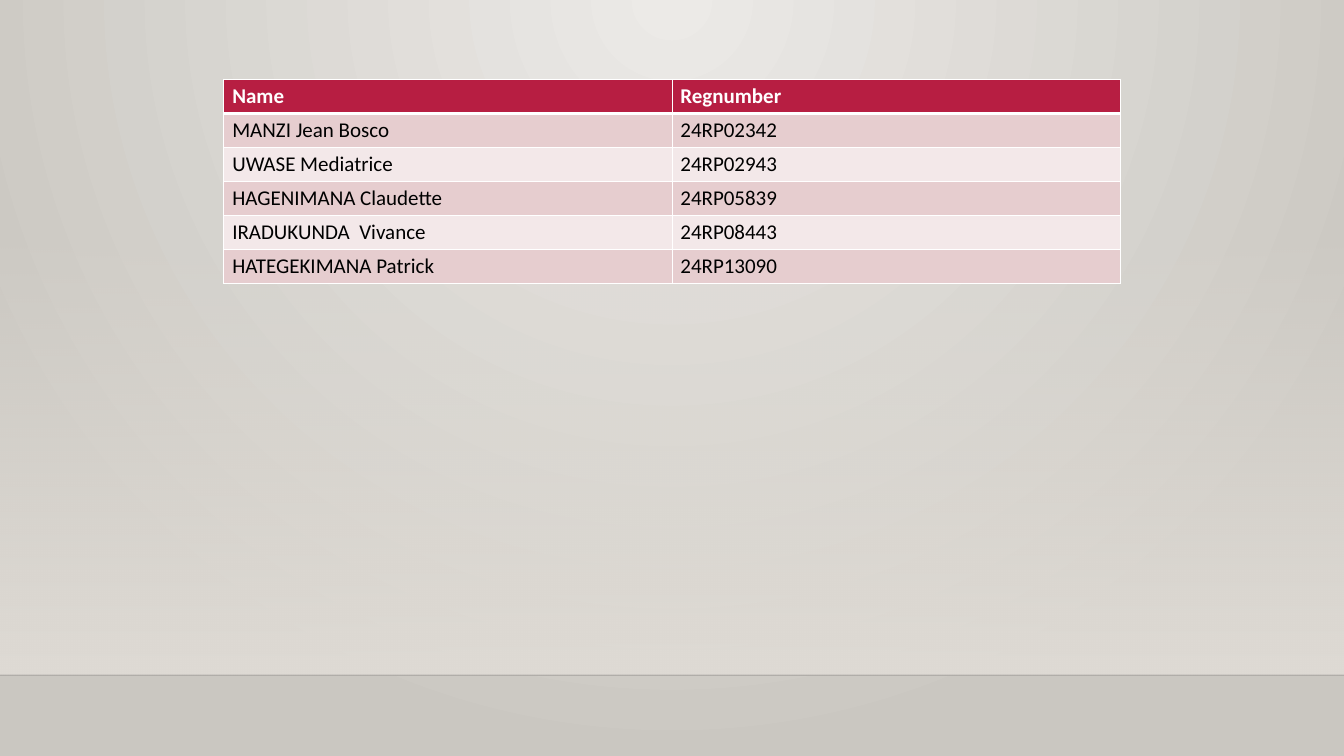
from lxml import etree
from pptx import Presentation
from pptx.dml.color import RGBColor
from pptx.enum.shapes import MSO_CONNECTOR, MSO_SHAPE
from pptx.oxml.ns import qn
from pptx.util import Cm, Pt

RECT = MSO_SHAPE.RECTANGLE
LINE = MSO_CONNECTOR.STRAIGHT

WIDE, HIGH = 40.64, 22.86
FLOOR = 20.42
COL, ROW = 13.55, 1.03

HUES = {
    "light": "ECEAE7",
    "dark": "CAC7C1",
    "haze": "DFDBD5",
    "edge": "000001",
    "head": "B71E42",
    "odd": "E6CDCF",
    "even": "F3E8E9",
    "white": "FFFFFF",
    "black": "000000",
}

ROWS = [
    ("Name", "Regnumber"),
    ("MANZI Jean Bosco", "24RP02342"),
    ("UWASE Mediatrice", "24RP02943"),
    ("HAGENIMANA Claudette", "24RP05839"),
    ("IRADUKUNDA  Vivance", "24RP08443"),
    ("HATEGEKIMANA Patrick", "24RP13090"),
]


def rgb(name):
    return RGBColor.from_string(HUES[name])


def add(node, tag, **attrs):
    return etree.SubElement(node, qn(tag), attrs)


def tint(node, hue, alpha=100):
    color = add(node, "a:srgbClr", val=HUES[hue])
    if alpha < 100:
        add(color, "a:alpha", val=str(alpha * 1000))


def blend(node, stops):
    grad = node.find(".//" + qn("a:gradFill"))
    for child in list(grad):
        grad.remove(child)
    group = add(grad, "a:gsLst")
    for pos, hue, alpha in stops:
        tint(add(group, "a:gs", pos=str(pos * 1000)), hue, alpha)
    return grad


def paint_back(slide):
    slide.background.fill.gradient()
    grad = blend(slide.element, [(0, "light", 100), (100, "dark", 100)])
    ring = add(grad, "a:path", path="circle")
    add(ring, "a:fillToRect", l="43000", t="0", r="43000", b="100000")


def add_haze(slide):
    top = 6.73
    haze = slide.shapes.add_shape(
        RECT, Cm(0), Cm(top), Cm(WIDE), Cm(FLOOR - top))
    haze.shadow.inherit = False
    haze.line.fill.background()
    haze.fill.gradient()
    grad = blend(haze.element, [(0, "haze", 0), (100, "haze", 100)])
    add(grad, "a:lin", ang="5400000", scaled="0")


def add_edge(slide):
    edge = slide.shapes.add_connector(
        LINE, Cm(0), Cm(FLOOR), Cm(WIDE), Cm(FLOOR))
    edge.line.width = Pt(1)
    edge.line.color.rgb = rgb("edge")
    color = edge.element.find(".//" + qn("a:ln")).find(".//" + qn("a:srgbClr"))
    add(color, "a:alpha", val="20000")
    add(edge.element.spPr, "a:effectLst")


def frame(cell, widths):
    props = cell._tc.get_or_add_tcPr()
    for spot, (side, width) in enumerate(zip("LRTB", widths)):
        line = etree.Element(qn("a:ln" + side), w=str(Pt(width)))
        tint(add(line, "a:solidFill"), "white")
        props.insert(spot, line)


def fill_cell(cell, text, row):
    head = row == 0
    cell.fill.solid()
    cell.fill.fore_color.rgb = rgb(
        "head" if head else "odd" if row % 2 else "even")
    frame(cell, (1, 1, 3 if row == 1 else 1, 3 if head else 1))
    run = cell.text_frame.paragraphs[0].add_run()
    run.text = text
    font = run.font
    font.name = "Calibri"
    font.size = Pt(18)
    font.bold = head
    font.color.rgb = rgb("white" if head else "black")


def add_names(slide):
    count = len(ROWS[0])
    width = COL * count
    table = slide.shapes.add_table(
        len(ROWS), count, Cm((WIDE - width) / 2), Cm(2.39),
        Cm(width), Cm(ROW * len(ROWS))).table
    for col in table.columns:
        col.width = Cm(COL)
    for row, texts in enumerate(ROWS):
        table.rows[row].height = Cm(ROW)
        for col, text in enumerate(texts):
            fill_cell(table.cell(row, col), text, row)


def main():
    deck = Presentation()
    deck.slide_width, deck.slide_height = Cm(WIDE), Cm(HIGH)
    slide = deck.slides.add_slide(deck.slide_layouts[6])
    paint_back(slide)
    add_haze(slide)
    add_edge(slide)
    add_names(slide)
    deck.save("out.pptx")


if __name__ == "__main__":
    main()
